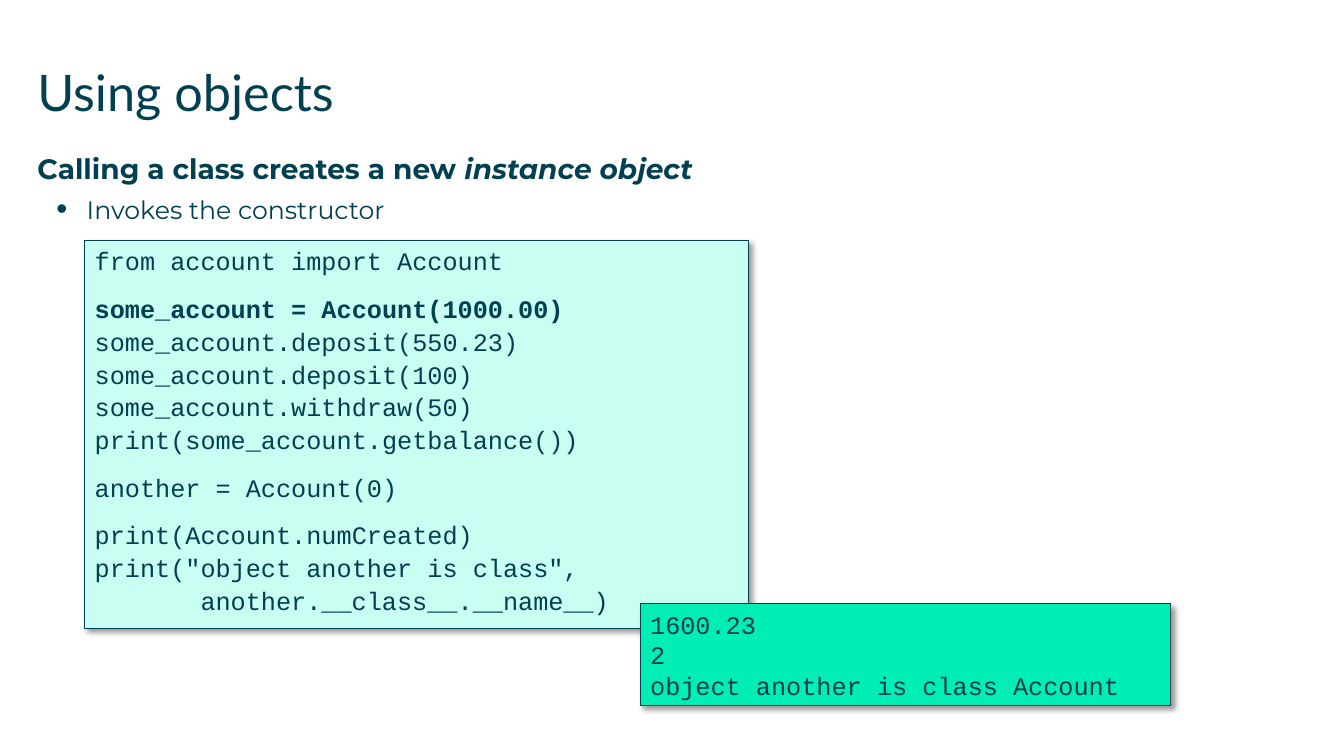
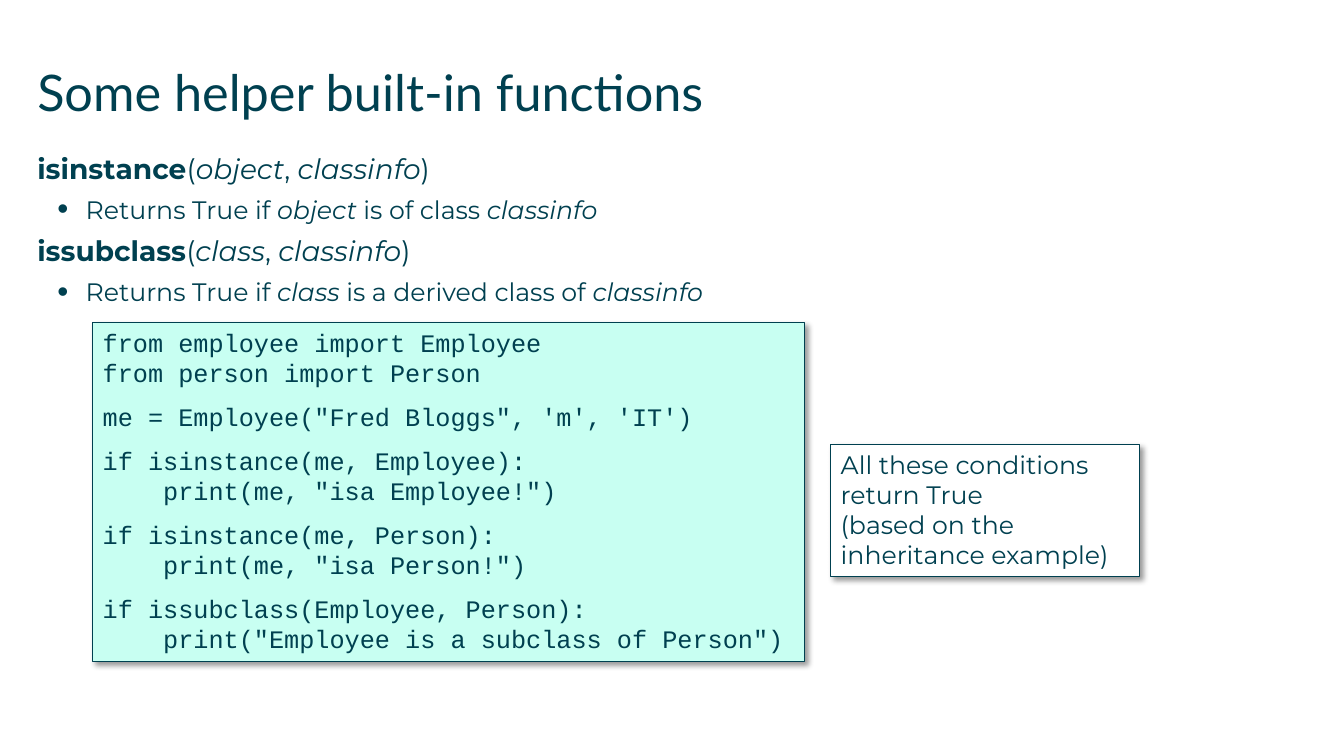
from lxml.etree import SubElement
from pptx import Presentation
from pptx.dml.color import RGBColor
from pptx.enum.shapes import MSO_SHAPE
from pptx.enum.text import MSO_ANCHOR, PP_ALIGN
from pptx.oxml.ns import qn
from pptx.util import Emu, Pt

SCALE = 9144
INK, MINT, GREEN, WHITE = "004050", "C8FFF2", "00EDB5", "FFFFFF"
TITLE_FONT, BODY_FONT, CODE_FONT = "Lato", "Montserrat", "Courier New"
TITLE_AREA = (37, 61, 1260, 88)
BODY_AREA = (37, 150, 1259, 542)
CODE_SIZE = 18
COLUMN_WIDTH = 0.6 * CODE_SIZE

SLIDES = [
    {
        "title": "Using objects",
        "hanging": (49, 30),
        "body": [
            (0, [("Calling a class creates a new ", "b"), ("instance object", "bi")]),
            (1, [("Invokes the constructor", "")]),
        ],
        "panels": [
            {
                "area": (84, 239, 658, 385), "fill": MINT, "font": CODE_FONT,
                "line": 21.4, "before": 2.1, "gap": 10.4,
                "blocks": [
                    [(0, "from account import Account", "")],
                    [
                        (0, "some_account = Account(1000.00)", "b"),
                        (0, "some_account.deposit(550.23)", ""),
                        (0, "some_account.deposit(100)", ""),
                        (0, "some_account.withdraw(50)", ""),
                        (0, "print(some_account.getbalance())", ""),
                    ],
                    [(0, "another = Account(0)", "")],
                    [
                        (0, "print(Account.numCreated)", ""),
                        (0, 'print("object another is class",', ""),
                        (7, "another.__class__.__name__)", ""),
                    ],
                ],
            },
            {
                "area": (635, 599, 526, 101), "fill": GREEN, "font": CODE_FONT,
                "line": 21.8, "before": 0, "gap": 0,
                "blocks": [[
                    (0, "1600.23", ""),
                    (0, "2", ""),
                    (0, "object another is class Account", ""),
                ]],
            },
        ],
    },
    {
        "title": "Some helper built-in functions",
        "hanging": (48, 28),
        "body": [
            (0, [("isinstance", "b"), ("(", ""), ("object", "i"), (", ", ""),
                 ("classinfo", "i"), (")", "")]),
            (1, [("Returns True if ", ""), ("object", "i"), (" is of class ", ""),
                 ("classinfo", "i")]),
            (0, [("issubclass", "b"), ("(", ""), ("class", "i"), (", ", ""),
                 ("classinfo", "i"), (")", "")]),
            (1, [("Returns True if ", ""), ("class", "i"),
                 (" is a derived class of ", ""), ("classinfo", "i")]),
        ],
        "panels": [
            {
                "area": (92, 320, 706, 336), "fill": MINT, "font": CODE_FONT,
                "line": 21.4, "before": 0, "gap": 10,
                "blocks": [
                    [
                        (0, "from employee import Employee", ""),
                        (0, "from person import Person", ""),
                    ],
                    [(0, "me = Employee(\"Fred Bloggs\", 'm', 'IT')", "")],
                    [
                        (0, "if isinstance(me, Employee):", ""),
                        (4, 'print(me, "isa Employee!")', ""),
                    ],
                    [
                        (0, "if isinstance(me, Person):", ""),
                        (4, 'print(me, "isa Person!")', ""),
                    ],
                    [
                        (0, "if issubclass(Employee, Person):", ""),
                        (4, 'print("Employee is a subclass of Person")', ""),
                    ],
                ],
            },
            {
                "area": (824, 441, 306, 131), "fill": WHITE, "font": BODY_FONT,
                "line": 21.4, "before": 0, "gap": 0,
                "blocks": [[
                    (0, "All these conditions return True", ""),
                    (0, "(based on the inheritance example)", ""),
                ]],
            },
        ],
    },
]


def px(length):
    return Emu(length * SCALE)


def color(code):
    return RGBColor.from_string(code)


def set_font(font, name, size):
    font.name = name
    font.size = Pt(size)
    font.color.rgb = color(INK)


def set_indent(para, left, first=0):
    properties = para._p.get_or_add_pPr()
    properties.set("marL", str(int(left)))
    properties.set("indent", str(int(first)))
    return properties


def prepare_frame(frame):
    frame.word_wrap = True
    frame.vertical_anchor = MSO_ANCHOR.TOP


def clear_margins(frame):
    frame.margin_left = frame.margin_top = 0
    frame.margin_right = frame.margin_bottom = 0


def next_paragraph(frame, index):
    para = frame.add_paragraph() if index else frame.paragraphs[0]
    para.alignment = PP_ALIGN.LEFT
    return para


def add_title(page, text):
    title = page.shapes.title
    title.left, title.top, title.width, title.height = map(px, TITLE_AREA)
    prepare_frame(title.text_frame)
    clear_margins(title.text_frame)
    para = next_paragraph(title.text_frame, 0)
    para.add_run().text = text
    set_font(para.font, TITLE_FONT, 36)


def add_bullet(para, hanging):
    left, hang = map(px, hanging)
    properties = set_indent(para, left, -hang)
    SubElement(properties, qn("a:buSzPct"), val="125000")
    SubElement(properties, qn("a:buFont"), typeface="Arial")
    SubElement(properties, qn("a:buChar"), char="•")


def add_body(page, lines, hanging):
    frame = page.shapes.add_textbox(*map(px, BODY_AREA)).text_frame
    prepare_frame(frame)
    clear_margins(frame)
    for index, (level, spans) in enumerate(lines):
        para = next_paragraph(frame, index)
        para.space_after = Pt(6.5)
        if level:
            add_bullet(para, hanging)
        set_font(para.font, BODY_FONT, 18 if level else 20)
        for text, style in spans:
            span = para.add_run()
            span.text = text
            span.font.bold = "b" in style
            span.font.italic = "i" in style


def add_shadow(box):
    box.shadow.inherit = False
    effects = box._element.spPr.find(qn("a:effectLst"))
    shadow = SubElement(effects, qn("a:outerShdw"), blurRad=str(Pt(4)),
                        dist=str(Pt(3)), dir="2700000", algn="tl", rotWithShape="0")
    tone = SubElement(shadow, qn("a:srgbClr"), val="000000")
    SubElement(tone, qn("a:alpha"), val="40000")


def add_panel(page, panel):
    box = page.shapes.add_shape(MSO_SHAPE.RECTANGLE, *map(px, panel["area"]))
    box.fill.solid()
    box.fill.fore_color.rgb = color(panel["fill"])
    box.line.color.rgb = color(INK)
    box.line.width = Pt(0.75)
    add_shadow(box)
    frame = box.text_frame
    prepare_frame(frame)
    index = 0
    for block in panel["blocks"]:
        for row, (columns, text, style) in enumerate(block):
            para = next_paragraph(frame, index)
            para.line_spacing = Pt(panel["line"])
            starts_block = index and row == 0
            para.space_before = Pt(panel["before"] + (panel["gap"] if starts_block else 0))
            set_indent(para, Pt(columns * COLUMN_WIDTH))
            para.add_run().text = text
            set_font(para.font, panel["font"], CODE_SIZE)
            para.font.bold = "b" in style
            index += 1


def main():
    deck = Presentation()
    deck.slide_width, deck.slide_height = px(1333), px(750)
    for content in SLIDES:
        page = deck.slides.add_slide(deck.slide_layouts[5])
        add_title(page, content["title"])
        add_body(page, content["body"], content["hanging"])
        for panel in content["panels"]:
            add_panel(page, panel)
    deck.save("out.pptx")


if __name__ == "__main__":
    main()
